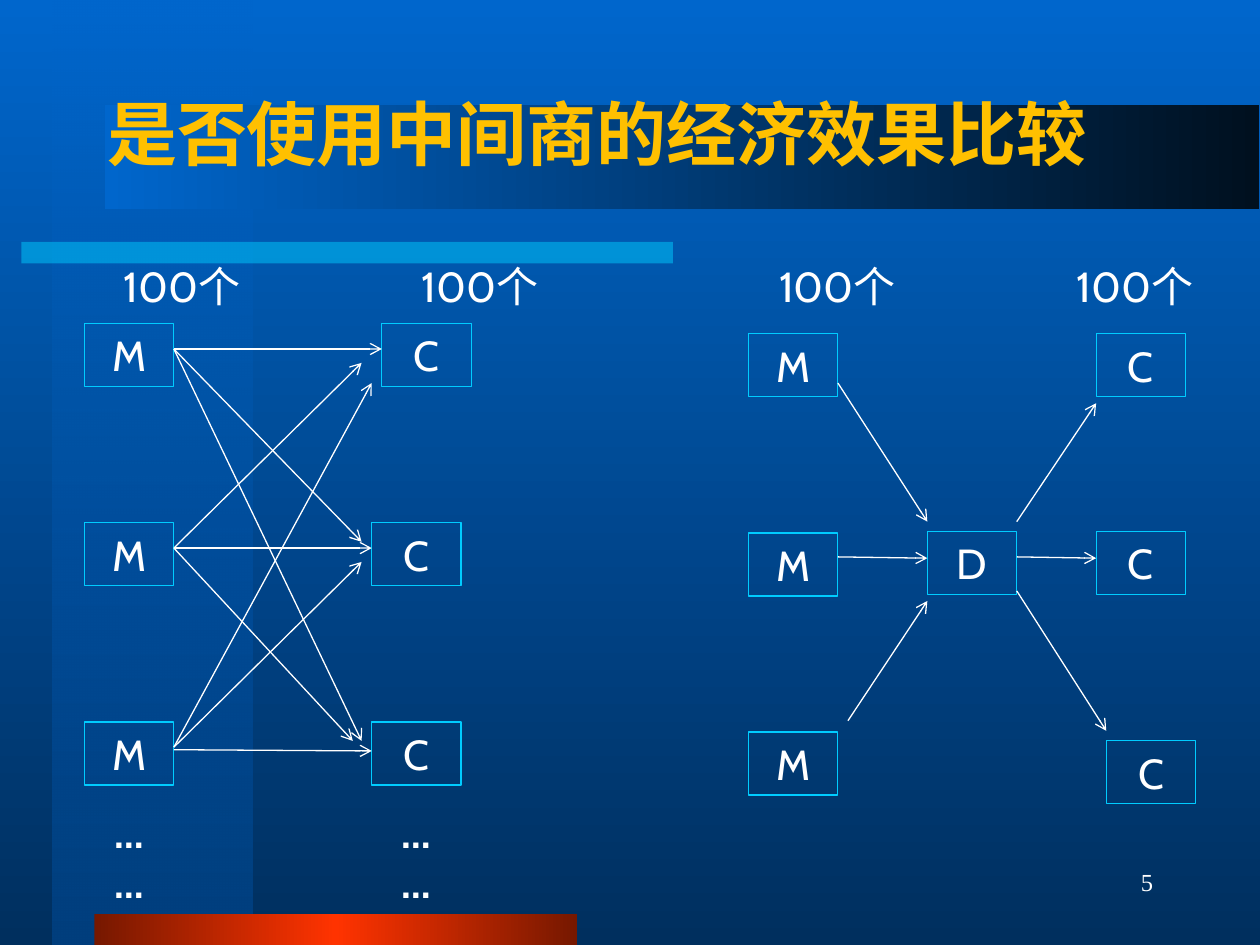
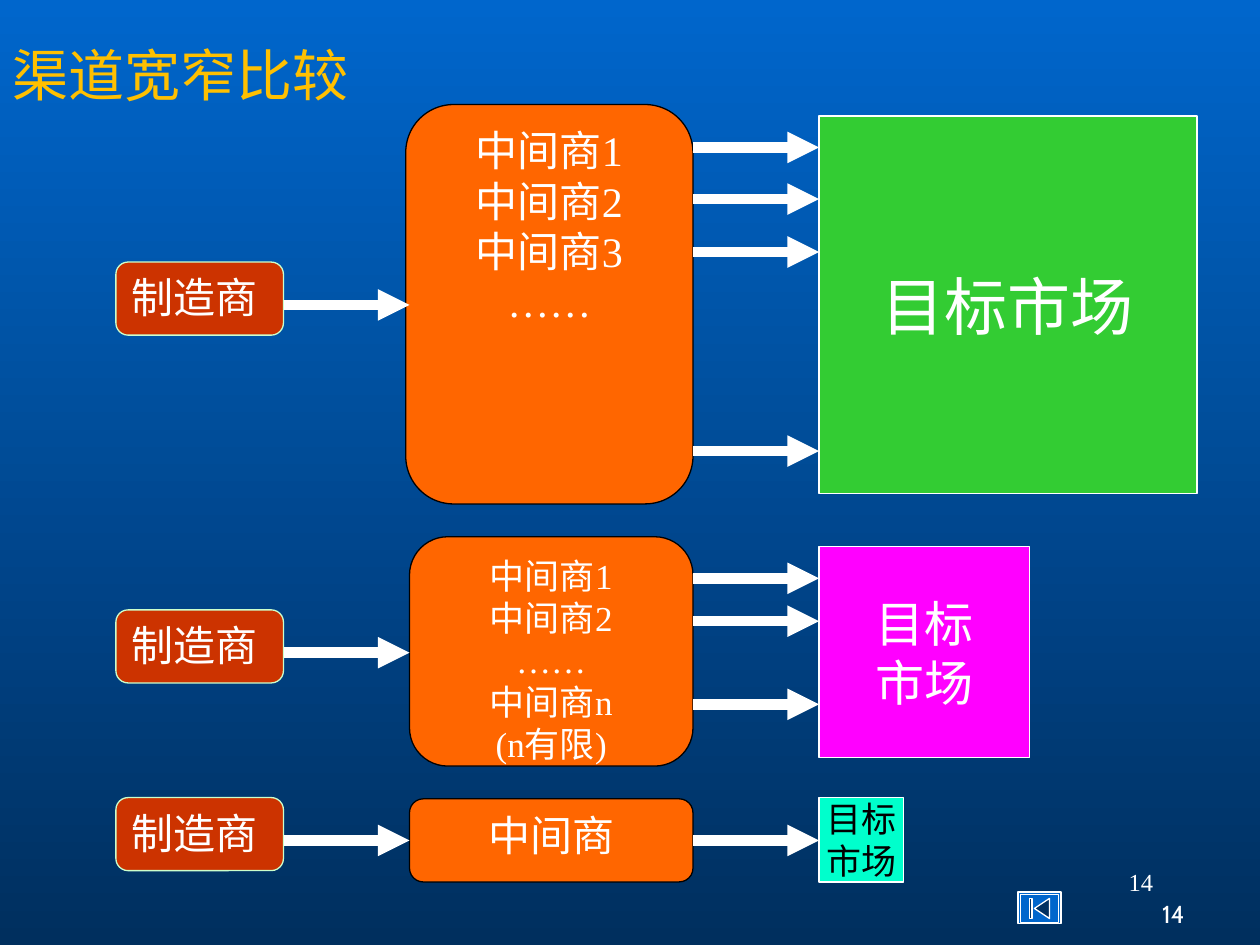
"""Build two slides that compare distribution channels."""
from dataclasses import dataclass

import pptx
import pptx.dml.color
import pptx.enum.shapes
import pptx.enum.text
import pptx.oxml
import pptx.oxml.ns
import pptx.util
from pptx.util import Inches

KIND = pptx.enum.shapes.MSO_SHAPE
ALIGN = pptx.enum.text.PP_ALIGN
ANCHOR = pptx.enum.text.MSO_ANCHOR
qn = pptx.oxml.ns.qn


@dataclass(frozen=True)
class Theme:
    serif: str = "Times New Roman"
    sans: str = "Cabin"
    white: str = "FFFFFF"
    black: str = "000000"
    gold: str = "FFC000"
    cyan: str = "00CCFF"
    blue: str = "0066CC"
    navy: str = "002F5E"
    column_end: str = "003F7E"
    band_end: str = "00101F"
    ember: str = "761800"
    flame: str = "FF3300"
    maker: str = "CC3300"
    maker_edge: str = "CCFFCC"
    dealer: str = "FF6600"
    wide_market: str = "33CC33"
    mid_market: str = "FF00FF"
    narrow_market: str = "00FFCC"
    headline: int = 40
    title: int = 32
    giant: int = 36
    large: int = 28
    body: int = 24
    small: int = 20
    number: int = 14
    thin: float = 0.75
    thick: float = 6


def rgb(code):
    return pptx.dml.color.RGBColor.from_string(code)


def box(left, top, width, height):
    return Inches(left), Inches(top), Inches(width), Inches(height)


def add_xml(parent, tag, **attributes):
    child = pptx.oxml.parse_xml(f'<{tag} {pptx.oxml.ns.nsdecls("a")}/>')
    for name, value in attributes.items():
        child.set(name, str(value))
    parent.append(child)
    return child


def set_alpha(color, percent):
    if percent < 100:
        add_xml(color, "a:alpha", val=percent * 1000)


def paint_gradient(fill, owner, stops, angle):
    fill.gradient()
    fill.gradient_angle = angle
    stop_list = next(owner.iter(qn("a:gsLst")))
    for old_stop in list(stop_list):
        stop_list.remove(old_stop)
    for position, code, opacity in stops:
        stop = add_xml(stop_list, "a:gs", pos=position * 1000)
        set_alpha(add_xml(stop, "a:srgbClr", val=code), opacity)


class Deck:
    def __init__(self, theme):
        self.theme = theme
        self.presentation = pptx.Presentation()
        self.presentation.slide_width = Inches(10)
        self.presentation.slide_height = Inches(7.5)
        self.slide = None

    def new_slide(self):
        title_only = self.presentation.slide_layouts[5]
        self.slide = self.presentation.slides.add_slide(title_only)
        paint_gradient(self.slide.background.fill, self.slide.element,
                       [(0, self.theme.blue, 100), (100, self.theme.navy, 100)], 270)

    def style(self, shape, fill=None, line=None):
        shape.shadow.inherit = False
        if fill:
            shape.fill.solid()
            shape.fill.fore_color.rgb = rgb(fill)
        else:
            shape.fill.background()
        if line:
            shape.line.color.rgb = rgb(line)
            shape.line.width = pptx.util.Pt(self.theme.thin)
        else:
            shape.line.fill.background()

    def set_text(self, shape, lines, size, color=None, font=None, align=ALIGN.CENTER,
                 anchor=ANCHOR.TOP, wrap=True, bold=False):
        frame = shape.text_frame
        frame.text = "\n".join(lines)
        frame.word_wrap = wrap
        frame.auto_size = pptx.enum.text.MSO_AUTO_SIZE.NONE
        frame.vertical_anchor = anchor
        for paragraph in frame.paragraphs:
            paragraph.alignment = align
            paragraph.font.name = font or self.theme.serif
            paragraph.font.size = pptx.util.Pt(size)
            paragraph.font.bold = bold
            paragraph.font.color.rgb = rgb(color or self.theme.white)

    def title(self, words, place, size, **text):
        title = self.slide.shapes.title
        title.left, title.top, title.width, title.height = box(*place)
        self.set_text(title, [words], size, self.theme.gold, align=ALIGN.LEFT, **text)
        title.element.getparent().append(title.element)

    def band(self, place, stops, angle=0):
        band = self.slide.shapes.add_shape(KIND.RECTANGLE, *box(*place))
        self.style(band)
        paint_gradient(band.fill, band.element, stops, angle)

    def bands(self):
        theme = self.theme
        self.band((0.42, 0, 1.58, 7.5),
                  [(0, theme.blue, 50), (100, theme.column_end, 100)], 270)
        stripe = self.slide.shapes.add_shape(KIND.RECTANGLE, *box(0.17, 1.92, 5.17, 0.17))
        self.style(stripe, theme.cyan)
        set_alpha(next(stripe.element.spPr.iter(qn("a:srgbClr"))), 50)
        self.band((0.75, 7.25, 3.83, 0.25),
                  [(0, theme.ember, 100), (50, theme.flame, 100), (100, theme.ember, 100)])
        self.band((0.83, 0.83, 9.16, 0.83),
                  [(0, theme.blue, 100), (100, theme.band_end, 100)])

    def label(self, lines, place, size, **text):
        label = self.slide.shapes.add_textbox(*box(*place))
        self.set_text(label, lines, size, **text)

    def page_number(self, number):
        self.label([number], (7.17, 6.75, 2.08, 0.5), self.theme.number,
                   align=ALIGN.RIGHT, anchor=ANCHOR.MIDDLE)

    def node(self, lines, place, size, fill=None, line=None, kind=KIND.RECTANGLE, **text):
        node = self.slide.shapes.add_shape(kind, *box(*place))
        self.style(node, fill, line)
        self.set_text(node, lines, size, **text)

    def actor(self, letter, left, top):
        self.node([letter], (left, top, 0.71, 0.5), self.theme.body,
                  line=self.theme.cyan, font=self.theme.sans)

    def arrow(self, start, end, width, head):
        arrow = self.slide.shapes.add_connector(
            pptx.enum.shapes.MSO_CONNECTOR.STRAIGHT, *map(Inches, (*start, *end)))
        arrow.line.color.rgb = rgb(self.theme.white)
        arrow.line.width = pptx.util.Pt(width)
        properties = arrow.element.spPr
        add_xml(properties.find(qn("a:ln")), "a:tailEnd", type=head)
        add_xml(properties, "a:effectLst")

    def outline(self, contours, fill=None):
        first, *others = [[(Inches(x), Inches(y)) for x, y in contour] for contour in contours]
        builder = self.slide.shapes.build_freeform(*first[0])
        builder.add_line_segments(first[1:])
        for contour in others:
            builder.move_to(*contour[0])
            builder.add_line_segments(contour[1:])
        self.style(builder.convert_to_shape(), fill, self.theme.white)


def corners(left, top, right, bottom):
    return [(left, top), (right, top), (right, bottom), (left, bottom)]


def middleman_slide(deck):
    theme = deck.theme
    deck.new_slide()
    deck.bands()
    deck.title("是否使用中间商的经济效果比较", (0.75, 0.67, 8.5, 1.25), theme.headline, bold=True)
    deck.page_number("5")

    row_gap = 1.58
    for row, (direct_customer, served_customer) in enumerate(
            [(3.03, (8.7, 2.65)), (2.95, (8.7, 4.22)), (2.95, (8.78, 5.88))]):
        direct_top = 2.57 + row * row_gap
        deck.actor("M", 0.67, direct_top)
        deck.actor("C", direct_customer, direct_top)
        deck.actor("M", 5.94, 2.65 + row * row_gap)
        deck.actor("C", *served_customer)
    deck.actor("D", 7.36, 4.22)

    direct_targets = [
        [(3.03, 2.77), (2.87, 4.3), (2.87, 5.88)],
        [(2.87, 2.88), (2.95, 4.35), (2.8, 5.88)],
        [(2.95, 3.04), (2.87, 4.46), (2.95, 5.96)],
    ]
    direct_routes = [((1.38, 2.77 + row * row_gap), target)
                     for row, targets in enumerate(direct_targets) for target in targets]
    direct_routes[-1] = ((1.38, 5.95), direct_targets[2][2])
    dealer_routes = [
        ((6.65, 3.04), (7.36, 4.14)), ((6.65, 4.42), (7.36, 4.43)),
        ((6.73, 5.72), (7.36, 4.77)), ((8.07, 4.14), (8.7, 3.2)),
        ((8.07, 4.42), (8.7, 4.43)), ((8.07, 4.69), (8.78, 5.8)),
    ]
    for start, end in direct_routes + dealer_routes:
        deck.arrow(start, end, theme.thin, "arrow")

    for left in (0.75, 3.03):
        deck.label(["……"], (left, 6.35, 0.55, 0.9), theme.body, font=theme.sans, bold=True)
    for left, width in ((0.59, 1.42), (2.87, 1.5), (5.71, 1.5), (8.07, 1.5)):
        deck.label(["100个"], (left, 2.02, width, 0.5), theme.body,
                   font=theme.sans, align=ALIGN.RIGHT)


def channel(deck, maker_top, dealers, dealer_place, dealer_size, market, market_place,
            market_size, market_fill, arrow_tops, market_color=None):
    theme = deck.theme
    rounded = KIND.FLOWCHART_ALTERNATE_PROCESS
    deck.node(["制造商"], (0.92, maker_top, 1.33, 0.58), theme.body, theme.maker,
              theme.maker_edge, rounded, align=ALIGN.JUSTIFY)
    deck.node(dealers, dealer_place, dealer_size, theme.dealer, theme.black, rounded)
    deck.node(market, market_place, market_size, market_fill, theme.white,
              color=market_color, anchor=ANCHOR.MIDDLE, wrap=False)
    supply = maker_top + 0.34
    deck.arrow((2.25, supply), (3.25, supply), theme.thick, "triangle")
    for top in arrow_tops:
        deck.arrow((5.5, top), (6.5, top), theme.thick, "triangle")


def width_slide(deck):
    theme = deck.theme
    deck.new_slide()
    channel(deck, 6.33, ["中间商"], (3.25, 6.34, 2.25, 0.66), theme.body,
            ["目标", "市场"], (6.5, 6.33, 0.67, 0.67), theme.small,
            theme.narrow_market, [6.67], theme.black)
    channel(deck, 4.84, ["中间商1", "中间商2", "……", "中间商n", "(n有限)"],
            (3.25, 4.26, 2.25, 1.82), theme.small,
            ["目标", "市场"], (6.5, 4.34, 1.67, 1.67), theme.large,
            theme.mid_market, [4.59, 4.93, 5.59])
    channel(deck, 2.08, ["中间商1", "中间商2", "中间商3", "……"],
            (3.22, 0.83, 2.28, 3.17), theme.body,
            ["目标市场"], (6.5, 0.92, 3, 3), theme.giant,
            theme.wide_market, [1.17, 1.58, 2, 3.58])
    deck.page_number("14")
    deck.title("渠道宽窄比较", (0, 0, 3.19, 1.17), theme.title, anchor=ANCHOR.MIDDLE)

    triangle = [(8.21, 7.21), (8.33, 7.13), (8.33, 7.29), (8.21, 7.21)]
    bar, face, rim = (area + area[:1] for area in (
        corners(8.17, 7.13, 8.19, 7.29), corners(8.08, 7.08, 8.42, 7.33),
        corners(8.1, 7.1, 8.4, 7.32)))
    deck.outline([face, triangle, bar], theme.blue)
    deck.outline([rim])
    deck.label(["14"], (7.42, 6.92, 2.08, 0.5), theme.number, font=theme.sans,
               align=ALIGN.RIGHT, anchor=ANCHOR.BOTTOM)


def main():
    deck = Deck(Theme())
    middleman_slide(deck)
    width_slide(deck)
    deck.presentation.save("out.pptx")


if __name__ == "__main__":
    main()
